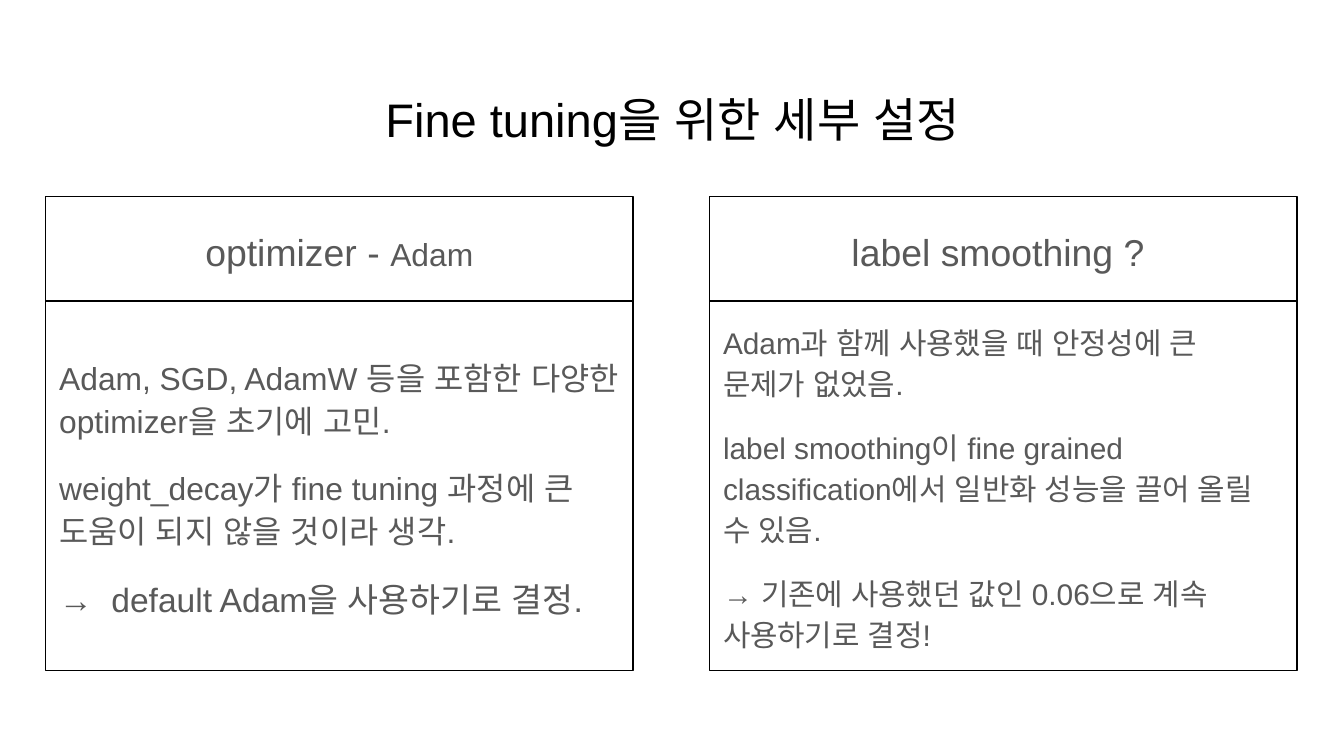
from lxml import etree
from pptx import Presentation
from pptx import util as u
from pptx.dml.color import RGBColor
from pptx.enum import text
from pptx.oxml.ns import qn

COLORS = {"title": "000000", "body": "595959", "line": "000000", "back": "FFFFFF"}
FONT = "Arial"
COMPARISON_LAYOUT = 4

LEFT, CARD_W, GAP = 0.34, 4.37, 0.57
TOP, HEADING_H, BODY_H = 1.46, 0.78, 2.75

# Each card: heading runs and body paragraphs, as (text, size) pairs
CARDS = [
    (
        [("optimizer - ", 20), ("Adam", 17)],
        [
            ("Adam, SGD, AdamW 등을 포함한 다양한 optimizer을 초기에 고민.", 17),
            ("weight_decay가 fine tuning 과정에 큰 도움이 되지 않을 것이라 생각.", 17),
            ("→  default Adam을 사용하기로 결정.", 18),
        ],
    ),
    (
        [("label smoothing ? ", 20)],
        [
            ("Adam과 함께 사용했을 때 안정성에 큰 문제가 없었음.", 16),
            ("label smoothing이 fine grained classification에서 "
             "일반화 성능을 끌어 올릴 수 있음.", 16),
            ("→ 기존에 사용했던 값인 0.06으로 계속 사용하기로 결정!", 16),
        ],
    ),
]


class SlideBuilder:
    def __init__(self, slide):
        self.slide = slide
        fill = slide.background.fill
        fill.solid()
        fill.fore_color.rgb = RGBColor.from_string(COLORS["back"])

    def place(self, idx, left, top, width, height):
        """Move a layout placeholder and give its text frame the common style."""
        sp = self.slide.placeholders[idx]
        sp.left, sp.top = u.Inches(left), u.Inches(top)
        sp.width, sp.height = u.Inches(width), u.Inches(height)
        tf = sp.text_frame
        tf.word_wrap = True
        tf.auto_size = text.MSO_AUTO_SIZE.NONE
        tf.vertical_anchor = text.MSO_ANCHOR.MIDDLE
        tf.margin_left = tf.margin_right = u.Inches(0.1)
        tf.margin_top = tf.margin_bottom = u.Inches(0.1)
        return sp

    def paragraph(self, p, runs, color, align, spacing=1.0, before=0, after=0):
        p.alignment = align
        p.line_spacing = spacing
        p.space_before, p.space_after = u.Pt(before), u.Pt(after)
        pPr = p._p.get_or_add_pPr()
        pPr.set("marL", "0")
        pPr.set("indent", "0")
        etree.SubElement(pPr, qn("a:buNone"))
        for words, size in runs:
            r = p.add_run()
            r.text = words
            r.font.name, r.font.size, r.font.bold = FONT, u.Pt(size), False
            r.font.color.rgb = RGBColor.from_string(COLORS[color])
            for script in ("a:ea", "a:cs"):
                etree.SubElement(r._r.get_or_add_rPr(), qn(script), typeface=FONT)

    def title(self, words, size, *box):
        sp = self.place(0, *box)
        self.paragraph(sp.text_frame.paragraphs[0], [(words, size)], "title",
                       text.PP_ALIGN.CENTER)

    def panel(self, idx, paragraphs, align, *box):
        """Fill an outlined placeholder; each paragraph is a list of runs."""
        sp = self.place(idx, *box)
        sp.line.color.rgb = RGBColor.from_string(COLORS["line"])
        sp.line.width = u.Pt(0.75)
        tf = sp.text_frame
        last = len(paragraphs) - 1
        for i, runs in enumerate(paragraphs):
            p = tf.add_paragraph() if i else tf.paragraphs[0]
            self.paragraph(p, runs, "body", align, 1.15,
                           before=12 if i else 0, after=12 if i == last else 0)

    def card(self, column, heading, body):
        left = LEFT + column * (CARD_W + GAP)
        idx = 1 + 2 * column
        self.panel(idx + 1, [[run] for run in body], text.PP_ALIGN.LEFT,
                   left, TOP + HEADING_H, CARD_W, BODY_H)
        self.panel(idx, [heading], text.PP_ALIGN.CENTER,
                   left, TOP, CARD_W, HEADING_H)


def main():
    prs = Presentation()
    prs.slide_width = u.Inches(10)
    prs.slide_height = prs.slide_width * 9 // 16
    s = prs.slides.add_slide(prs.slide_layouts[COMPARISON_LAYOUT])
    builder = SlideBuilder(s)
    builder.title("Fine tuning을 위한 세부 설정", 25.2, 2.37, 0.57, 5.27, 0.63)
    for column, (heading, body) in enumerate(CARDS):
        builder.card(column, heading, body)
    prs.save("out.pptx")


if __name__ == "__main__":
    main()
